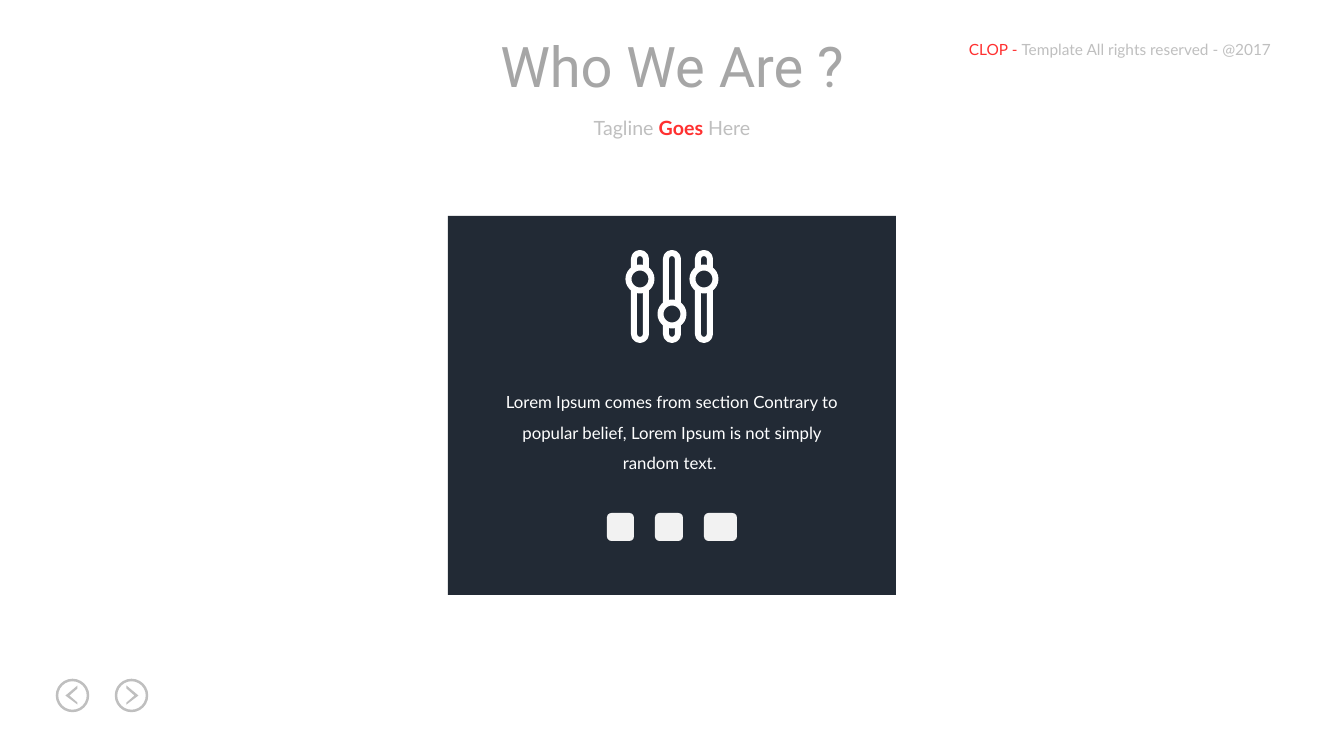
from pptx import Presentation
from pptx.dml.color import RGBColor
from pptx.enum.shapes import MSO_SHAPE
from pptx.enum.text import MSO_ANCHOR, MSO_AUTO_SIZE, PP_ALIGN
from pptx.util import Emu, Pt

EMU_PER_PX = 914400 / 100.8
PT_PER_PX = 72 / 100.8
SLIDE_W, SLIDE_H = 1344, 756

RED = RGBColor(0xFF, 0x30, 0x30)
TITLE_GREY = RGBColor(0xA6, 0xA6, 0xA6)
GREY = RGBColor(0xBF, 0xBF, 0xBF)
NAVY = RGBColor(0x22, 0x2A, 0x35)
WHITE = RGBColor(0xFF, 0xFF, 0xFF)
OFF_WHITE = RGBColor(0xF2, 0xF2, 0xF2)

RECT, ROUNDED, OVAL = MSO_SHAPE.RECTANGLE, MSO_SHAPE.ROUNDED_RECTANGLE, MSO_SHAPE.OVAL
LEFT, CENTER = PP_ALIGN.LEFT, PP_ALIGN.CENTER
TOP, NO_AUTOSIZE = MSO_ANCHOR.TOP, MSO_AUTO_SIZE.NONE


def px(length):
    return Emu(round(length * EMU_PER_PX))


def place(holder, box):
    holder.left, holder.top, holder.width, holder.height = map(px, box)


def write(holder, runs, size, font="Lato", align=CENTER, spacing=1.0, wrap=False):
    """Fill a text holder with runs of (text, colour, bold)."""
    frame = holder.text_frame
    frame.auto_size = NO_AUTOSIZE
    frame.word_wrap = wrap
    frame.vertical_anchor = TOP
    paragraph = frame.paragraphs[0]
    paragraph.alignment = align
    paragraph.line_spacing = spacing
    paragraph.space_before = Pt(0)
    for text, colour, bold in runs:
        run = paragraph.add_run()
        run.text = text
        run.font.name = font
        run.font.size = Pt(size)
        run.font.bold = bold
        run.font.color.rgb = colour


def paint(shape, fill=None, line=None, line_px=0):
    shape.shadow.inherit = False
    if fill is None:
        shape.fill.background()
    else:
        shape.fill.solid()
        shape.fill.fore_color.rgb = fill
    if line is None:
        shape.line.fill.background()
    else:
        shape.line.color.rgb = line
        shape.line.width = Pt(round(line_px * PT_PER_PX, 2))


def add_shape(slide, kind, box, **colours):
    shape = slide.shapes.add_shape(kind, *map(px, box))
    paint(shape, **colours)
    return shape


def add_heading(slide, box):
    left, top, width, _ = box
    title, tagline = slide.shapes.title, slide.placeholders[1]
    place(title, (left, top, width, 78))
    write(title, [("Who We Are ?", TITLE_GREY, False)], 40, font="Roboto")
    place(tagline, (left, top + 85, width, 34))
    write(tagline, [("Tagline ", GREY, False), ("Goes ", RED, True),
                    ("Here", GREY, False)], 14)


def add_copyright(slide, box):
    line = slide.shapes.add_textbox(*map(px, box))
    write(line, [("CLOP - ", RED, False),
                 ("Template All rights reserved - @2017", GREY, False)], 11, align=LEFT)


def add_sliders_icon(slide, box):
    """Three mixer sliders; knobs sit at different heights on their stems."""
    left, top, width, height = box
    stroke, stem_w, knob_d, pitch = 6, 12, 23, 32
    outline = dict(fill=NAVY, line=WHITE, line_px=stroke)
    for index, knob_y in enumerate((29, 64, 29)):
        middle = left + width / 2 + (index - 1) * pitch
        stem = add_shape(slide, ROUNDED, (middle - stem_w / 2, top + stroke / 2,
                                          stem_w, height - stroke), **outline)
        stem.adjustments[0] = 0.5
        add_shape(slide, OVAL, (middle - knob_d / 2, top + knob_y - knob_d / 2,
                                knob_d, knob_d), **outline)


def add_social_marks(slide, box):
    left, top, _, height = box
    for offset, width in ((0, 27), (48, 28), (97, 33)):
        add_shape(slide, ROUNDED, (left + offset, top, width, height), fill=OFF_WHITE)


def add_card(slide, box):
    left, top, width, _ = box
    add_shape(slide, RECT, box, fill=NAVY)
    add_sliders_icon(slide, (left + 178, top + 34, 92, 93))
    about = slide.shapes.add_textbox(*map(px, (left + 40, top + 161, width - 80, 102)))
    write(about, [("Lorem Ipsum comes from section Contrary to popular belief, "
                   "Lorem Ipsum is not simply random text. ", WHITE, False)],
          12, spacing=1.5, wrap=True)
    add_social_marks(slide, (left + 159, top + 297, 130, 28))


def add_navigation(slide, box):
    """Previous and next buttons; the second chevron mirrors the first."""
    left, top, _, size = box
    chevron = ((5, -7), (-3, 0), (5, 7), (5, 9), (-7, 0), (5, -10))
    for index, direction in enumerate((1, -1)):
        button_left = left + index * 59
        add_shape(slide, OVAL, (button_left + 1, top + 1, size - 2, size - 2),
                  line=GREY, line_px=2.5)
        middle_x, middle_y = button_left + size / 2, top + size / 2
        points = [(px(middle_x + direction * x), px(middle_y + y)) for x, y in chevron]
        builder = slide.shapes.build_freeform(*points[0])
        builder.add_line_segments(points[1:], close=True)
        paint(builder.convert_to_shape(), fill=GREY)


def main():
    deck = Presentation()
    deck.slide_width, deck.slide_height = px(SLIDE_W), px(SLIDE_H)
    slide = deck.slides.add_slide(deck.slide_layouts[0])
    add_copyright(slide, (959, 35, 328, 29))
    add_navigation(slide, (56, 679, 92, 33))
    add_heading(slide, (472, 26, 400, 119))
    add_card(slide, (448, 216, 448, 379))
    deck.save("out.pptx")


if __name__ == "__main__":
    main()
